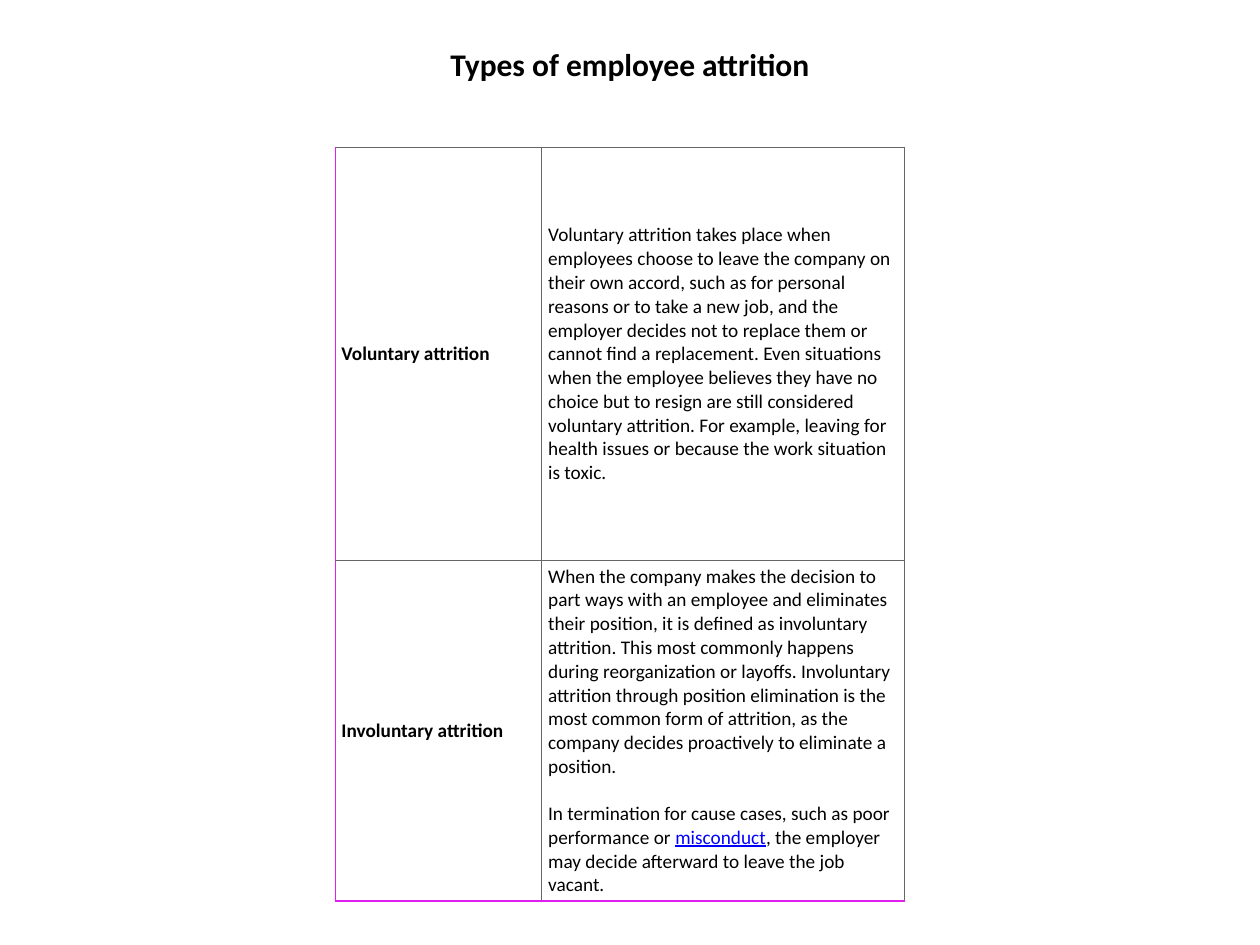
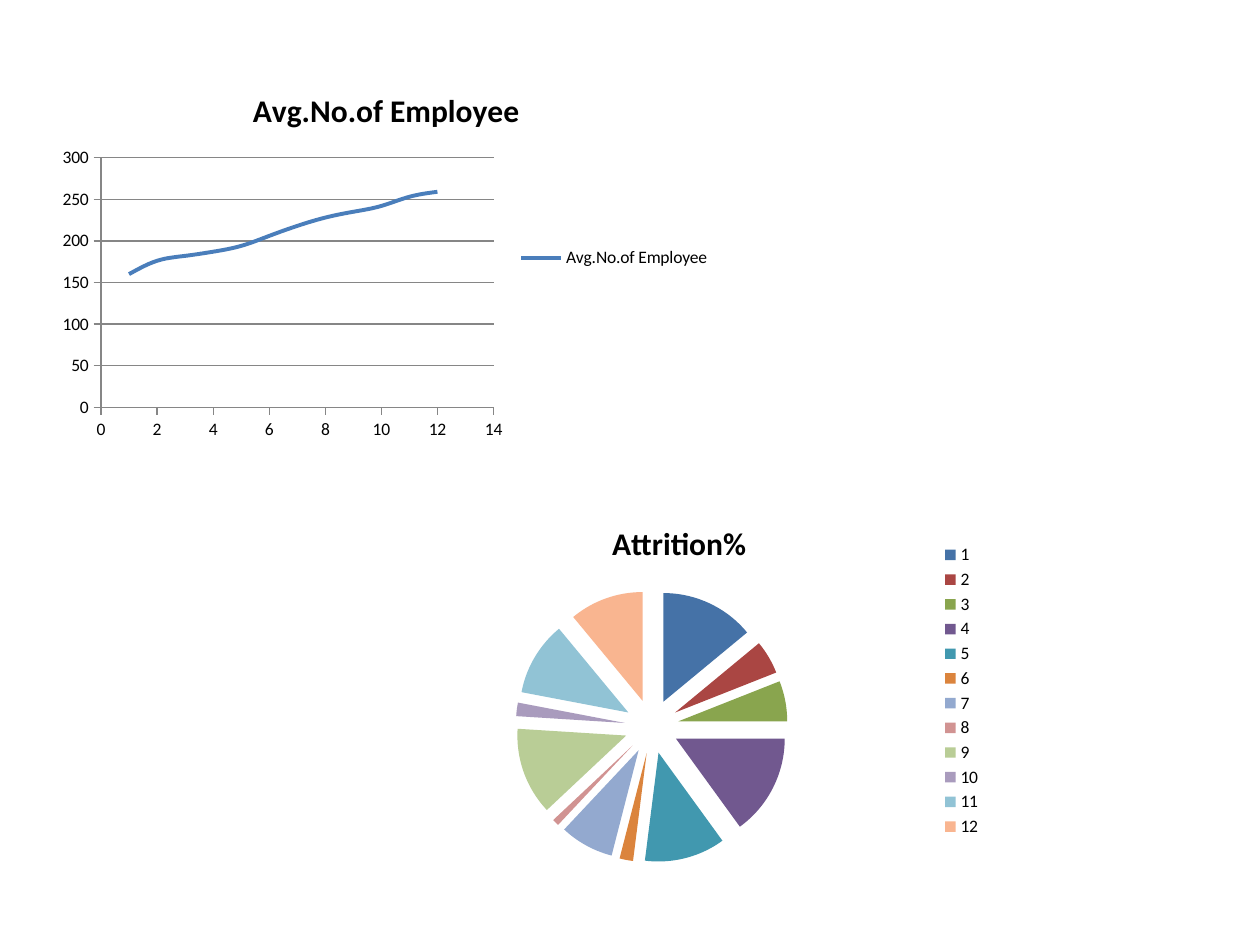
"""Build two slides on employee attrition: a table of types and two charts."""
from dataclasses import dataclass
from typing import NamedTuple

from lxml.etree import SubElement
from pptx import Presentation
from pptx.chart.chart import Chart
from pptx.chart.data import CategoryChartData, XyChartData
from pptx.dml.color import RGBColor as Color
from pptx.enum.chart import XL_CHART_TYPE as ChartType
from pptx.enum.chart import XL_LEGEND_POSITION as LegendPosition
from pptx.enum.chart import XL_TICK_LABEL_POSITION as LabelPosition
from pptx.enum.chart import XL_TICK_MARK as TickMark
from pptx.enum.text import MSO_ANCHOR as Anchor
from pptx.enum.text import MSO_AUTO_SIZE as AutoSize
from pptx.enum.text import PP_ALIGN as Align
from pptx.oxml.ns import qn
from pptx.slide import Slide
from pptx.table import _Cell as Cell
from pptx.util import Inches, Pt


@dataclass(frozen=True)
class Theme:
    """Colours, font and type sizes of the whole deck."""
    font: str = "Calibri"
    text: str = "000000"
    link: str = "0000FF"
    frame: str = "E01EED"
    rule: str = "666666"
    grid: str = "868686"
    curve: str = "4A7EBB"
    slices: tuple[str, ...] = (
        "4572A7", "AA4643", "89A54E", "71588F", "4198AF", "DB843D",
        "93A9CF", "D19392", "B9CD96", "A99BBD", "91C3D5", "F9B590")
    title_size: float = 18
    body_size: float = 11
    chart_size: float = 10
    hairline: float = 0.75


class Area(NamedTuple):
    """A rectangle in shares of the slide's width and height."""
    left: float
    top: float
    width: float
    height: float

    def lengths(self) -> tuple[int, int, int, int]:
        """Return the rectangle as slide lengths."""
        return (int(self.left * SLIDE_WIDTH), int(self.top * SLIDE_HEIGHT),
                int(self.width * SLIDE_WIDTH), int(self.height * SLIDE_HEIGHT))


class Span(NamedTuple):
    """A stretch of text with one format."""
    text: str
    bold: bool = False
    link: bool = False


class AttritionType(NamedTuple):
    """A table row: a name and its explaining paragraphs."""
    name: str
    paragraphs: tuple[tuple[Span, ...], ...]
    share: float


THEME = Theme()
SLIDE_WIDTH, SLIDE_HEIGHT = Inches(10), Inches(7.5)
TITLE_AREA = Area(0.346, 0.041, 0.308, 0.053)
TABLE_AREA = Area(0.266, 0.156, 0.452, 0.765)
CURVE_AREA = Area(0.039, 0.073, 0.535, 0.4)
PIE_AREA = Area(0.289, 0.531, 0.5, 0.4)
COLUMN_SHARES = (0.363, 0.637)
EXPLOSION = 25
EMPLOYEES = (160, 176, 182, 187, 194, 206, 218, 228, 235, 242, 253, 259)
ATTRITION = (14, 5, 6, 15, 12, 2, 8, 1, 13, 2, 11, 11)
TYPES = (
    AttritionType("Voluntary attrition", ((Span(
        "Voluntary attrition takes place when employees choose to leave the company on "
        "their own accord, such as for personal reasons or to take a new job, and the "
        "employer decides not to replace them or cannot find a replacement. Even "
        "situations when the employee believes they have no choice but to resign are "
        "still considered voluntary attrition. For example, leaving for health issues "
        "or because the work situation is toxic."),),), 0.572),
    AttritionType("Involuntary attrition", (
        (Span(
            "When the company makes the decision to part ways with an employee and "
            "eliminates their position, it is defined as involuntary attrition. This "
            "most commonly happens during reorganization or layoffs. Involuntary "
            "attrition through position elimination is the most common form of "
            "attrition, as the company decides proactively to eliminate a position."),),
        (Span("In termination for cause cases, such as poor performance or "),
         Span("misconduct", link=True),
         Span(", the employer may decide afterward to leave the job vacant."))), 0.428),
)


def write_text(frame, paragraphs: tuple[tuple[Span, ...], ...], *, size: float,
               align: Align = Align.LEFT, gap: float = 0) -> None:
    """Fill a text frame with formatted paragraphs set a gap apart."""
    for index, spans in enumerate(paragraphs):
        para = frame.add_paragraph() if index else frame.paragraphs[0]
        para.alignment = align
        para.space_before = Pt(gap if index else 0)
        for span in spans:
            run = para.add_run()
            run.text = span.text
            font = run.font
            font.name, font.size = THEME.font, Pt(size)
            font.bold, font.underline = span.bold, span.link
            font.color.rgb = Color.from_string(THEME.link if span.link else THEME.text)


def draw_borders(cell: Cell, colors: dict[str, str]) -> None:
    """Draw the borders of a cell, given by side letter in schema order."""
    properties = cell._tc.get_or_add_tcPr()
    for index, (side, color) in enumerate(colors.items()):
        line = SubElement(properties, qn(f"a:ln{side}"), w=str(Pt(THEME.hairline)))
        fill = SubElement(line, qn("a:solidFill"))
        SubElement(fill, qn("a:srgbClr"), val=color)
        properties.insert(index, line)


def fill_cell(cell: Cell, paragraphs: tuple[tuple[Span, ...], ...],
              colors: dict[str, str]) -> None:
    """Write one table cell with its margins and borders."""
    cell.fill.background()
    cell.vertical_anchor = Anchor.MIDDLE
    cell.margin_left = cell.margin_right = Inches(0.05)
    cell.margin_top = cell.margin_bottom = Inches(0.03)
    write_text(cell.text_frame, paragraphs, size=THEME.body_size, gap=13.5)
    draw_borders(cell, colors)


def add_types_table(page: Slide) -> None:
    """Add the table that explains each type of attrition."""
    area = TABLE_AREA.lengths()
    table = page.shapes.add_table(len(TYPES), len(COLUMN_SHARES), *area).table
    table.first_row = table.horz_banding = False
    for column, share in zip(table.columns, COLUMN_SHARES):
        column.width = int(area[2] * share)
    for row, kind in enumerate(TYPES):
        table.rows[row].height = int(area[3] * kind.share)
        contents = (((Span(kind.name, bold=True),),), kind.paragraphs)
        for column, paragraphs in enumerate(contents):
            fill_cell(table.cell(row, column), paragraphs, {
                "L": THEME.rule if column else THEME.frame,
                "R": THEME.rule,
                "T": THEME.rule,
                "B": THEME.frame if row == len(TYPES) - 1 else THEME.rule})


def add_title(page: Slide, text: str) -> None:
    """Add the slide title."""
    frame = page.shapes.add_textbox(*TITLE_AREA.lengths()).text_frame
    frame.word_wrap = True
    frame.auto_size = AutoSize.SHAPE_TO_FIT_TEXT
    write_text(frame, ((Span(text, bold=True),),), size=THEME.title_size,
               align=Align.CENTER)


def add_chart(page: Slide, kind: ChartType, area: Area, data, title: str) -> Chart:
    """Add a chart with the shared font, title and legend."""
    chart = page.shapes.add_chart(kind, *area.lengths(), data).chart
    chart.font.name, chart.font.size = THEME.font, Pt(THEME.chart_size)
    chart.font.color.rgb = Color.from_string(THEME.text)
    chart.has_title = True
    write_text(chart.chart_title.text_frame, ((Span(title, bold=True),),),
               size=THEME.title_size, align=Align.CENTER)
    chart.chart_title.include_in_layout = False
    chart.has_legend = True
    chart.legend.position = LegendPosition.RIGHT
    chart.legend.include_in_layout = False
    return chart


def style_line(line, color: str, width: float) -> None:
    """Set the colour and width of a chart line."""
    line.color.rgb = Color.from_string(color)
    line.width = Pt(width)


def add_employee_curve(page: Slide) -> None:
    """Add the smooth curve of the average number of employees."""
    name = "Avg.No.of Employee"
    data = XyChartData()
    points = data.add_series(name)
    for month, count in enumerate(EMPLOYEES, start=1):
        points.add_data_point(month, count)
    chart = add_chart(page, ChartType.XY_SCATTER_SMOOTH_NO_MARKERS, CURVE_AREA, data, name)
    series = chart.plots[0].series[0]
    style_line(series.format.line, THEME.curve, 2.25)
    for smooth in series._element.findall(qn("c:smooth")):
        smooth.set("val", "1")
    for axis, top, step in ((chart.category_axis, 14, 2), (chart.value_axis, 300, 50)):
        axis.minimum_scale, axis.maximum_scale, axis.major_unit = 0, top, step
        axis.has_major_gridlines = axis is chart.value_axis or top == 300
        axis.major_tick_mark, axis.minor_tick_mark = TickMark.OUTSIDE, TickMark.NONE
        axis.tick_label_position = LabelPosition.NEXT_TO_AXIS
        style_line(axis.format.line, THEME.grid, THEME.hairline)
    style_line(chart.value_axis.major_gridlines.format.line, THEME.grid, THEME.hairline)


def add_attrition_pie(page: Slide) -> None:
    """Add the exploded pie of attrition percentages."""
    name = "Attrition%"
    data = CategoryChartData()
    data.categories = [str(month) for month in range(1, len(ATTRITION) + 1)]
    data.add_series(name, ATTRITION)
    chart = add_chart(page, ChartType.PIE, PIE_AREA, data, name)
    plot = chart.plots[0]
    plot.vary_by_categories = True
    series = plot.series[0]
    for index, color in enumerate(THEME.slices):
        fill = series.points[index].format.fill
        fill.solid()
        fill.fore_color.rgb = Color.from_string(color)
    explosion = SubElement(series._element, qn("c:explosion"), val=str(EXPLOSION))
    series._element.find(qn("c:dPt")).addprevious(explosion)


def main() -> None:
    """Build and save the deck."""
    deck = Presentation()
    deck.slide_width, deck.slide_height = SLIDE_WIDTH, SLIDE_HEIGHT
    blank = deck.slide_layouts[6]
    types_page = deck.slides.add_slide(blank)
    add_types_table(types_page)
    add_title(types_page, "Types of employee attrition")
    charts_page = deck.slides.add_slide(blank)
    add_employee_curve(charts_page)
    add_attrition_pie(charts_page)
    deck.save("out.pptx")


if __name__ == "__main__":
    main()
